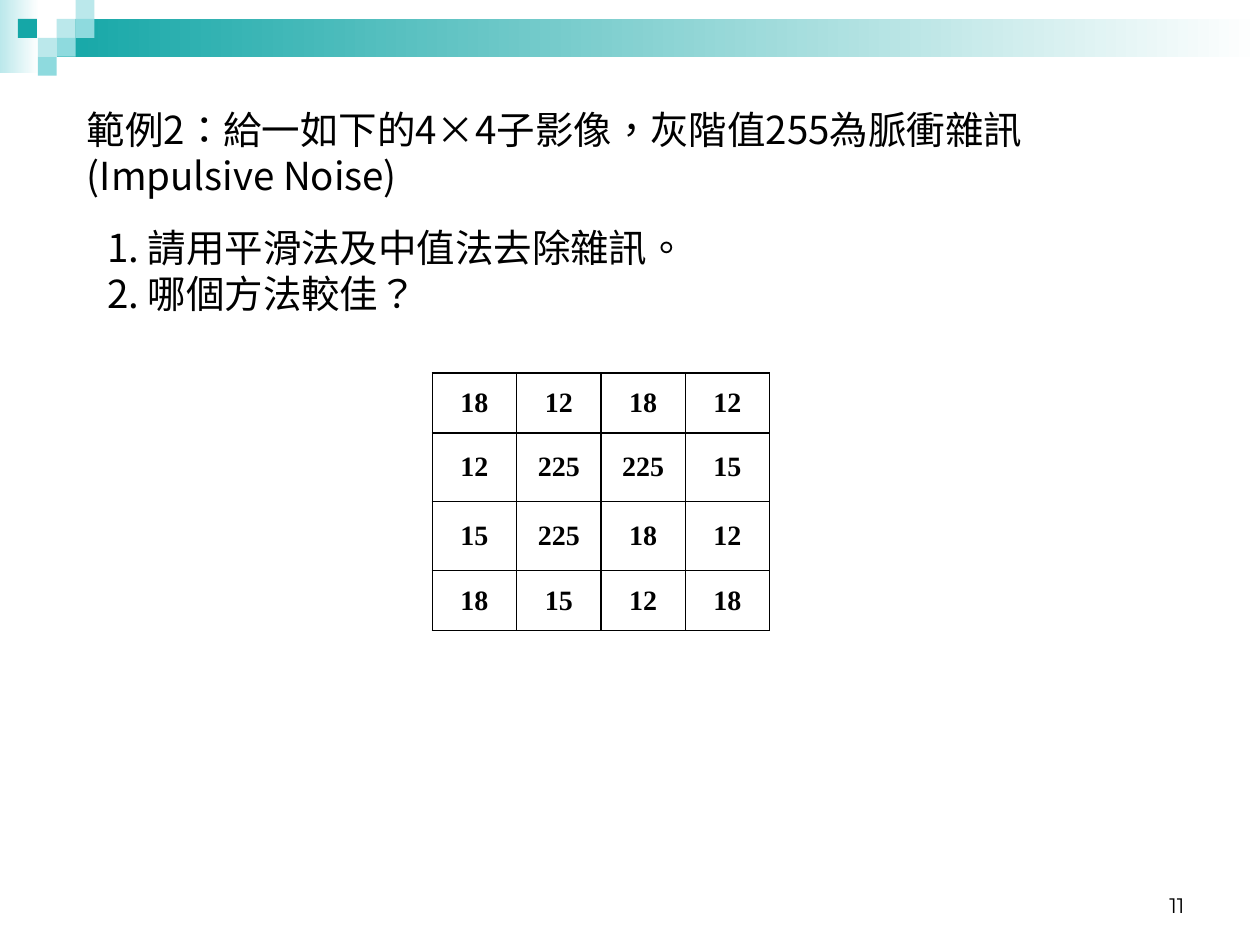
from lxml.etree import SubElement
from pptx import Presentation
from pptx.dml.color import RGBColor
from pptx.enum.shapes import MSO_SHAPE as Shape
from pptx.enum.text import MSO_ANCHOR as Anchor, MSO_AUTO_SIZE as AutoSize, PP_ALIGN as Align
from pptx.oxml.ns import qn
from pptx.util import Pt

BLACK = RGBColor(0x00, 0x00, 0x00)
WHITE = RGBColor(0xFF, 0xFF, 0xFF)
TEAL = RGBColor(0x15, 0xA7, 0xA7)
AQUA = RGBColor(0x8E, 0xDA, 0xDE)
PALE = RGBColor(0xBB, 0xE8, 0xEB)

CJK_FONT = "Noto Sans CJK SC"
UNIT = 10.8  # side of one mosaic square
HANGING = 27.4

# Mosaic squares as (column, row, colour)
SQUARES = [
    (3, 1, PALE), (4, 0, PALE), (4, 1, AQUA), (2, 2, PALE),
    (0.95, 1, TEAL), (3, 2, AQUA), (2, 3, AQUA),
]
TITLE = "範例2：給一如下的4×4子影像，灰階值255為脈衝雜訊 (Impulsive Noise)"
QUESTIONS = ["1. 請用平滑法及中值法去除雜訊。", "2. 哪個方法較佳？"]
GRAY_LEVELS = [
    [18, 12, 18, 12],
    [12, 225, 225, 15],
    [15, 225, 18, 12],
    [18, 15, 12, 18],
]
ROW_HEIGHTS = [34.4, 39.2, 39.4, 34.4]
COLUMN_WIDTH = 48.2


def add_bar(group, left, top, width, height, color, fade=False):
    bar = group.shapes.add_shape(Shape.RECTANGLE, Pt(left), Pt(top), Pt(width), Pt(height))
    bar.shadow.inherit = False
    bar.line.fill.background()
    if fade:
        bar.fill.gradient()
        bar.fill.gradient_angle = 0
        for stop, stop_color in zip(bar.fill.gradient_stops, (color, WHITE)):
            stop.color.rgb = stop_color
    else:
        bar.fill.solid()
        bar.fill.fore_color.rgb = color


def add_run(para, text, size, font, bold=False):
    span = para.add_run()
    span.text = text
    span.font.size = Pt(size)
    span.font.name = font
    span.font.bold = bold
    span.font.color.rgb = BLACK
    return span


def set_hanging_indent(para):
    props = para._p.get_or_add_pPr()
    props.set("marL", str(Pt(HANGING)))
    props.set("indent", str(-Pt(HANGING)))
    return props


def place(box, left, top, width, height, anchor):
    box.left, box.top, box.width, box.height = Pt(left), Pt(top), Pt(width), Pt(height)
    frame = box.text_frame
    frame.word_wrap = True
    frame.auto_size = AutoSize.NONE
    frame.vertical_anchor = anchor
    return frame


def fill_chinese(frame, lines, hanging=False):
    frame.margin_top = Pt(5.6)
    for index, line in enumerate(lines):
        para = frame.add_paragraph() if index else frame.paragraphs[0]
        para.alignment = Align.LEFT
        para.space_before = Pt(0)
        para.line_spacing = Pt(26.4)
        if hanging:
            SubElement(set_hanging_indent(para), qn("a:buNone"))
        span = add_run(para, line, 22, CJK_FONT)
        props = span._r.get_or_add_rPr()
        props.set("lang", "zh-TW")
        SubElement(props, qn("a:ea"), typeface=CJK_FONT)


def set_borders(cell):
    props = cell._tc.get_or_add_tcPr()
    for index, side in enumerate(("a:lnL", "a:lnR", "a:lnT", "a:lnB")):
        line = props.makeelement(qn(side), {"w": str(Pt(1))})
        fill = SubElement(line, qn("a:solidFill"))
        SubElement(fill, qn("a:srgbClr"), val=str(BLACK))
        props.insert(index, line)


def add_pixel_table(page, left, top):
    rows, columns = len(GRAY_LEVELS), len(GRAY_LEVELS[0])
    table = page.shapes.add_table(
        rows, columns, Pt(left), Pt(top),
        Pt(COLUMN_WIDTH * columns), Pt(sum(ROW_HEIGHTS)),
    ).table
    table.first_row = table.horz_banding = False
    for column in table.columns:
        column.width = Pt(COLUMN_WIDTH)
    for row, height, levels in zip(table.rows, ROW_HEIGHTS, GRAY_LEVELS):
        row.height = Pt(height)
        for cell, level in zip(row.cells, levels):
            cell.fill.background()
            cell.vertical_anchor = Anchor.MIDDLE
            set_borders(cell)
            para = cell.text_frame.paragraphs[0]
            para.alignment = Align.CENTER
            set_hanging_indent(para)
            add_run(para, str(level), 16, "Times New Roman", bold=True)


def add_header(page):
    group = page.shapes.add_group_shape()
    add_bar(group, 0, 0, 22.3, 41.8, PALE, fade=True)
    add_bar(group, 3 * UNIT, UNIT, 720 - 3 * UNIT, 2 * UNIT, TEAL, fade=True)
    for column, row, color in SQUARES:
        add_bar(group, column * UNIT, row * UNIT, UNIT, UNIT, color)


def main():
    deck = Presentation()
    deck.slide_width, deck.slide_height = Pt(720), Pt(540)
    page = deck.slides.add_slide(deck.slide_layouts[1])

    # Header band with mosaic
    add_header(page)

    # Problem statement and questions
    title, body = page.placeholders
    fill_chinese(place(title, 42.5, 54.7, 623.5, 60.5, Anchor.TOP), [TITLE])
    fill_chinese(place(body, 54, 122.4, 646.6, 59.8, Anchor.TOP), QUESTIONS, hanging=True)

    # Sub-image gray levels
    add_pixel_table(page, 247, 213.1)

    # Page number
    number = page.shapes.add_textbox(0, 0, 0, 0)
    frame = place(number, 516.2, 491.8, 167.8, 36, Anchor.BOTTOM)
    frame.paragraphs[0].alignment = Align.RIGHT
    add_run(frame.paragraphs[0], "11", 12, "Montserrat")

    deck.save("out.pptx")


if __name__ == "__main__":
    main()
